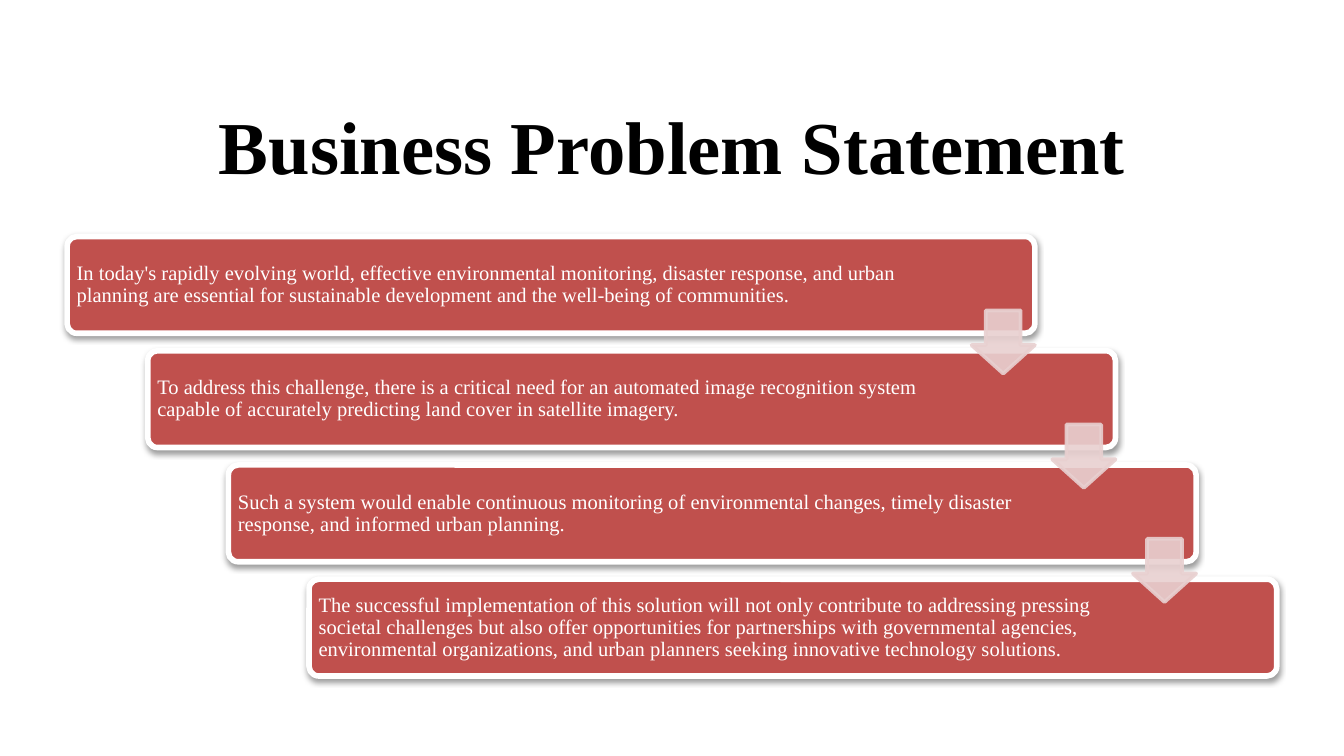
from dataclasses import dataclass

from lxml.etree import SubElement
from pptx import Presentation
from pptx.dml.color import RGBColor
from pptx.enum.shapes import MSO_SHAPE as Kind
from pptx.enum.text import MSO_ANCHOR as Anchor, MSO_AUTO_SIZE as Fit, PP_ALIGN as Align
from pptx.oxml.ns import qn
from pptx.util import Inches, Pt

COLORS = {"ink": "000000", "paper": "FFFFFF", "step": "C0504D", "arrow": "E8D0D0"}
FONT = "Times New Roman"
LEFT, TOP = 0.5, 1.76
DX, DY = 0.6, 0.85
WIDE, HIGH = 7.2, 0.72
PAD = 0.02
ARROW_LEFT, ARROW_TOP, ARROW_SIZE = 7.23, 2.31, 0.47


@dataclass
class Step:
    text: str
    width: float = 6.09


STEPS = [
    Step("In today's rapidly evolving world, effective environmental monitoring, "
         "disaster response, and urban planning are essential for sustainable "
         "development and the well-being of communities.", 6.36),
    Step("To address this challenge, there is a critical need for an automated image "
         "recognition system capable of accurately predicting land cover in satellite "
         "imagery."),
    Step("Such a system would enable continuous monitoring of environmental changes, "
         "timely disaster response, and informed urban planning."),
    Step("The successful implementation of this solution will not only contribute to "
         "addressing pressing societal challenges but also offer opportunities for "
         "partnerships with governmental agencies, environmental organizations, and "
         "urban planners seeking innovative technology solutions."),
]


def rgb(name: str) -> RGBColor:
    return RGBColor.from_string(COLORS[name])


def write(shape, text: str, *, size: float, color: str, bold: bool = False,
          align=Align.LEFT, inset: float | None = None) -> None:
    frame = shape.text_frame
    frame.word_wrap = True
    frame.auto_size = Fit.NONE
    frame.vertical_anchor = Anchor.MIDDLE
    if inset is not None:
        frame.margin_left = frame.margin_right = Inches(inset)
        frame.margin_top = frame.margin_bottom = Inches(inset)
    para = frame.paragraphs[0]
    para.alignment = align
    para.line_spacing = 0.9
    run = para.add_run()
    run.text = text
    font = run.font
    font.name, font.size, font.bold = FONT, Pt(size), bold
    font.color.rgb = rgb(color)


def block(shapes, kind, left: float, top: float, width: float, height: float,
          fill: str, line: str, weight: float, adjust: list[float]):
    shape = shapes.add_shape(kind, Inches(left), Inches(top), Inches(width), Inches(height))
    shape.shadow.inherit = False
    shape.fill.solid()
    shape.fill.fore_color.rgb = rgb(fill)
    shape.line.color.rgb = rgb(line)
    shape.line.width = Pt(weight)
    for i, value in enumerate(adjust):
        shape.adjustments[i] = value
    return shape


def set_alpha(color, percent: int) -> None:
    SubElement(color, qn("a:alpha")).set("val", str(percent * 1000))


def add_shadow(shape) -> None:
    """Cast a soft black shadow straight down."""
    effects = shape.element.spPr.find(qn("a:effectLst"))
    outer = SubElement(effects, qn("a:outerShdw"), blurRad=str(Pt(3.1)),
                       dist=str(Pt(1.6)), dir="5400000", rotWithShape="0")
    color = SubElement(outer, qn("a:srgbClr"), val=COLORS["ink"])
    set_alpha(color, 38)


def add_step(shapes, index: int, step: Step) -> None:
    left, top = LEFT + index * DX, TOP + index * DY
    card = block(shapes, Kind.ROUNDED_RECTANGLE, left, top, WIDE, HIGH,
                 "step", "paper", 3, [0.1])
    add_shadow(card)
    box = shapes.add_textbox(Inches(left + PAD), Inches(top + PAD),
                             Inches(step.width), Inches(HIGH - 2 * PAD))
    write(box, step.text, size=11, color="paper", inset=0.05)


def add_arrow(shapes, index: int) -> None:
    arrow = block(shapes, Kind.DOWN_ARROW, ARROW_LEFT + index * DX, ARROW_TOP + index * DY,
                  ARROW_SIZE, ARROW_SIZE, "arrow", "arrow", 2, [0.55, 0.45])
    for color in arrow.element.spPr.iter(qn("a:srgbClr")):
        set_alpha(color, 90)


def main() -> None:
    deck = Presentation()
    deck.slide_width = Inches(10)
    deck.slide_height = deck.slide_width * 9 // 16
    slide = deck.slides.add_slide(deck.slide_layouts[5])
    shapes = slide.shapes

    title = shapes.title
    title.left, title.top = Inches(0.5), Inches(0.77)
    title.width, title.height = Inches(9), Inches(0.7)
    write(title, "Business Problem Statement", size=40, color="ink", bold=True,
          align=Align.CENTER)

    for i, step in enumerate(STEPS):
        add_step(shapes, i, step)
    for i in range(len(STEPS) - 1):
        add_arrow(shapes, i)

    deck.save("out.pptx")


if __name__ == "__main__":
    main()
